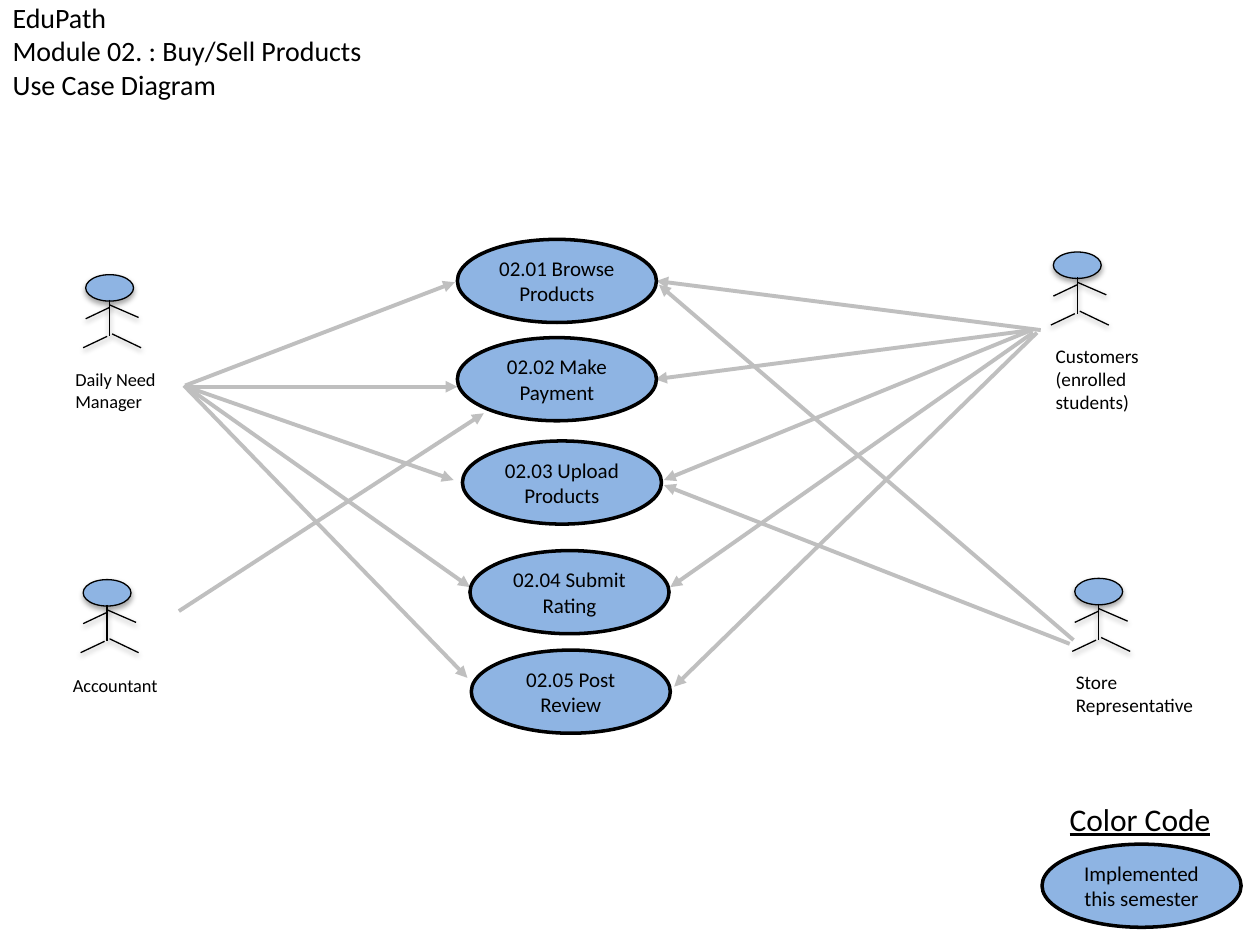
import pptx
import pptx.dml.color
import pptx.enum.shapes
import pptx.enum.text
import pptx.oxml
import pptx.oxml.ns
import pptx.util
from pptx.util import Inches

COLORS = {"text": "000000", "outline": "000000", "fill": "8EB4E3", "arrow": "BFBFBF"}
FONT = "Calibri"
OVAL_SIZE = (1.58, 0.66)
HEAD_SIZE = (0.38, 0.21)

# Body, arms and legs, measured from the top left of the head
LIMBS = [
    ((0.19, 0.2), (0.19, 0.49)),
    ((0.19, 0.26), (0, 0.35)),
    ((0.17, 0.49), (-0.02, 0.58)),
    ((0.19, 0.24), (0.42, 0.34)),
    ((0.21, 0.47), (0.44, 0.58)),
]

# Head position, label lines, label offset, label size, font size
ACTORS = [
    ((0.68, 2.18), ["Daily Need Manager"], (-0.18, 0.69), (0.9, 0.46), 10.5),
    ((8.36, 2), ["Customers", "(enrolled students)"], (-0.08, 0.68), (1.23, 0.68), 11),
    ((8.53, 4.59), ["Store Representative"], (-0.09, 0.68), (1.23, 0.47), 11),
    ((0.66, 4.6), ["Accountant"], (-0.18, 0.7), (0.9, 0.28), 10.5),
]

OVALS = [
    ("02.01 Browse Products", 3.63, 1.9),
    ("02.02 Make Payment", 3.63, 2.68),
    ("02.03 Upload Products", 3.67, 3.5),
    ("02.04 Submit Rating", 3.73, 4.37),
    ("02.05 Post Review", 3.74, 5.16),
    ("Implemented this semester", 8.27, 6.7),
]

ARROWS = [
    # Daily Need Manager
    ((1.47, 3.06), (3.61, 2.24)),
    ((1.5, 3.07), (3.63, 3.07)),
    ((1.51, 3.08), (3.6, 3.81)),
    ((1.48, 3.07), (3.73, 4.66)),
    ((1.46, 3.06), (3.71, 5.38)),
    # Customers
    ((8.26, 2.62), (5.21, 2.23)),
    ((8.19, 2.62), (5.2, 3.01)),
    ((8.21, 2.61), (5.27, 3.81)),
    ((8.2, 2.64), (5.32, 4.66)),
    ((8.23, 2.64), (5.35, 5.45)),
    # Store Representative
    ((8.52, 5.08), (5.23, 2.26)),
    ((8.49, 5.11), (5.27, 3.85)),
    # Accountant
    ((1.42, 4.85), (3.84, 3.28)),
]


def rgb(name):
    return pptx.dml.color.RGBColor.from_string(COLORS[name])


def set_font(paragraph, size):
    paragraph.font.name = FONT
    paragraph.font.size = pptx.util.Pt(size)
    paragraph.font.color.rgb = rgb("text")


def set_line(shape, color, width):
    shape.line.color.rgb = rgb(color)
    shape.line.width = pptx.util.Pt(width)


def set_effects(shape, shadow_opacity=0, distance=0):
    """Replace the theme shadow by a soft one, or by none."""
    properties = shape._element.spPr
    for effects in properties.findall(pptx.oxml.ns.qn("a:effectLst")):
        properties.remove(effects)
    shadow = ""
    if shadow_opacity:
        shadow = (
            f'<a:outerShdw blurRad="{pptx.util.Pt(3.1)}" dist="{pptx.util.Pt(distance)}" '
            'dir="5400000" rotWithShape="0"><a:srgbClr val="000000">'
            f'<a:alpha val="{shadow_opacity * 1000}"/></a:srgbClr></a:outerShdw>'
        )
    properties.append(pptx.oxml.parse_xml(
        f'<a:effectLst {pptx.oxml.ns.nsdecls("a")}>{shadow}</a:effectLst>'))


def add_line(shapes, start, end, color, width):
    connector = shapes.add_connector(
        pptx.enum.shapes.MSO_CONNECTOR.STRAIGHT, *map(Inches, (*start, *end)))
    set_line(connector, color, width)
    return connector


def add_arrow(shapes, start, end):
    connector = add_line(shapes, start, end, "arrow", 2.25)
    connector.line._get_or_add_ln().append(pptx.oxml.parse_xml(
        f'<a:tailEnd {pptx.oxml.ns.nsdecls("a")} type="triangle"/>'))
    set_effects(connector)


def add_ellipse(shapes, position, size, line_width):
    ellipse = shapes.add_shape(
        pptx.enum.shapes.MSO_SHAPE.OVAL, *map(Inches, (*position, *size)))
    ellipse.fill.solid()
    ellipse.fill.fore_color.rgb = rgb("fill")
    set_line(ellipse, "outline", line_width)
    return ellipse


def add_label(shapes, lines, position, size, font_size):
    box = shapes.add_textbox(*map(Inches, (*position, *size)))
    box.text_frame.word_wrap = True
    box.text_frame.text = "\n".join(lines)
    for paragraph in box.text_frame.paragraphs:
        set_font(paragraph, font_size)
    return box


def add_oval(shapes, text, left, top):
    oval = add_ellipse(shapes, (left, top), OVAL_SIZE, 2)
    oval.shadow.inherit = False
    oval.text_frame.text = text
    oval.text_frame.vertical_anchor = pptx.enum.text.MSO_ANCHOR.MIDDLE
    paragraph = oval.text_frame.paragraphs[0]
    paragraph.alignment = pptx.enum.text.PP_ALIGN.CENTER
    set_font(paragraph, 12)


def add_actor(shapes, head, lines, label_offset, label_size, font_size):
    def place(offset):
        return head[0] + offset[0], head[1] + offset[1]

    group = shapes.add_group_shape().shapes
    set_effects(add_ellipse(group, head, HEAD_SIZE, 0.75), 35, 1.8)
    for start, end in LIMBS:
        limb = add_line(group, place(start), place(end), "outline", 0.75)
        set_effects(limb, 38, 1.6)
    add_label(group, lines, place(label_offset), label_size, font_size)


def format_title(title):
    title.left, title.top, title.width, title.height = map(Inches, (0, 0.24, 4.33, 0.58))
    frame = title.text_frame
    frame.text = "EduPath\vModule 02. : Buy/Sell Products\vUse Case Diagram"
    frame.word_wrap = True
    frame.auto_size = pptx.enum.text.MSO_AUTO_SIZE.NONE
    frame.vertical_anchor = pptx.enum.text.MSO_ANCHOR.MIDDLE
    frame.margin_bottom = Inches(0.31)  # lifts the three lines to the slide's top
    paragraph = frame.paragraphs[0]
    paragraph.alignment = pptx.enum.text.PP_ALIGN.LEFT
    set_font(paragraph, 16)


def main():
    presentation = pptx.Presentation()
    presentation.slide_width, presentation.slide_height = Inches(10), Inches(7.5)
    slide = presentation.slides.add_slide(presentation.slide_layouts[5])
    shapes = slide.shapes
    format_title(shapes.title)

    # Diagram
    for actor in ACTORS:
        add_actor(shapes, *actor)
    for start, end in ARROWS:
        add_arrow(shapes, start, end)
    for oval in OVALS:
        add_oval(shapes, *oval)

    # Legend heading
    legend = add_label(shapes, ["Color Code"], (8.39, 6.3), (1.33, 0.4), 18)
    legend.text_frame.word_wrap = False
    legend.text_frame.paragraphs[0].font.underline = True

    presentation.save("out.pptx")


if __name__ == "__main__":
    main()
